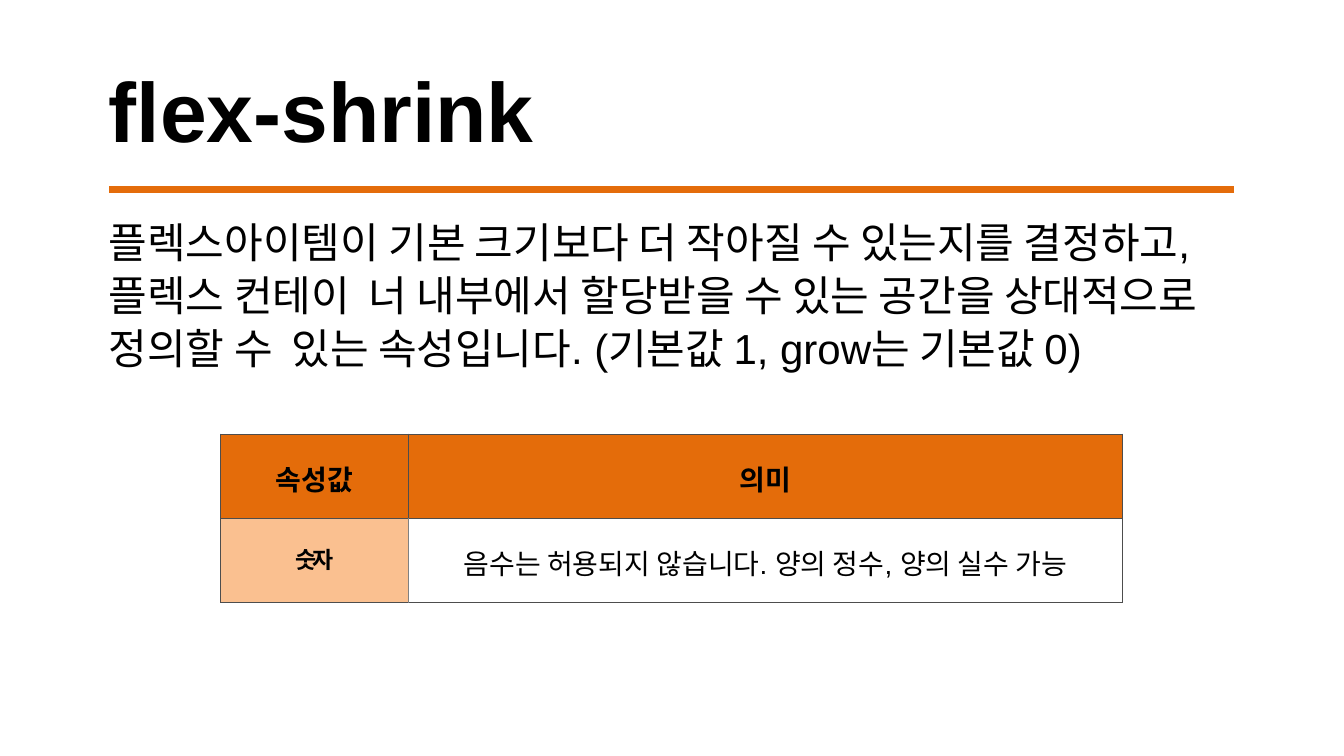
"""Build the flex-shrink slide with its title, rule, definition and value table."""
from dataclasses import dataclass

from lxml import etree
from pptx import Presentation
from pptx.dml.color import RGBColor
from pptx.enum.shapes import MSO_CONNECTOR
from pptx.enum.text import MSO_ANCHOR, PP_ALIGN
from pptx.oxml.ns import qn
from pptx.util import Inches, Pt

STRAIGHT = MSO_CONNECTOR.STRAIGHT
TOP, BOTTOM = MSO_ANCHOR.TOP, MSO_ANCHOR.BOTTOM
CENTER = PP_ALIGN.CENTER
COLORS = {"text": "000000", "accent": "E46C0A", "light": "FAC090",
          "white": "FFFFFF", "border": "4D4D4D", "divider": "808080"}


@dataclass
class TextBlock:
    text: str
    top: float
    width: float
    height: float
    size: float
    bold: bool = False
    anchor: MSO_ANCHOR = TOP
    line_spacing: float = 1.0


@dataclass
class Cell:
    text: str
    fill: str
    size: float = 33
    bold: bool = True
    font: str = "Arial"
    spacing: int = 0
    left: str = "border"
    right: str = "border"


BLOCKS = [
    TextBlock("flex-shrink", 0.93, 8.63, 1.68, 99, bold=True, anchor=BOTTOM),
    TextBlock("플렉스아이템이 기본 크기보다 더 작아질 수 있는지를 결정하고, "
              "플렉스 컨테이  너 내부에서 할당받을 수 있는 공간을 상대적으로 "
              "정의할 수  있는 속성입니다. (기본값 1, grow는 기본값 0)",
              3.49, 18.2, 3.55, 49.5, line_spacing=1.05),
]
ROWS = [
    [Cell("속성값", "accent", font="Noto Sans CJK KR"),
     Cell("의미", "accent", font="Noto Sans CJK KR")],
    [Cell("숫자", "light", size=27, spacing=-450, right="divider"),
     Cell("음수는 허용되지 않습니다. 양의 정수, 양의 실수 가능", "white",
          bold=False, left="divider")],
]
COLUMN_WIDTHS = [3.07, 11.69]
ROW_HEIGHT = 1.38


def rgb(name: str) -> RGBColor:
    return RGBColor.from_string(COLORS[name])


def style_paragraph(p, size: float, bold: bool, font: str = "Arial") -> None:
    p.font.name = font
    p.font.size = Pt(size)
    p.font.bold = bold
    p.font.color.rgb = rgb("text")


def add_block(slide, block: TextBlock) -> None:
    s = slide.shapes.add_textbox(Inches(1.78), Inches(block.top),
                                 Inches(block.width), Inches(block.height))
    tf = s.text_frame
    tf.word_wrap = True
    tf.vertical_anchor = block.anchor
    tf.margin_left = tf.margin_right = tf.margin_bottom = 0
    tf.margin_top = Inches(0.01)
    p = tf.paragraphs[0]
    p.text = block.text
    p.line_spacing = block.line_spacing
    style_paragraph(p, block.size, block.bold)


def add_rule(slide) -> None:
    s = slide.shapes.add_connector(STRAIGHT, Inches(1.79), Inches(3.1),
                                   Inches(20.19), Inches(3.1))
    s.line.color.rgb = rgb("accent")
    s.line.width = Pt(8.25)
    etree.SubElement(s._element.spPr, qn("a:effectLst"))


def set_borders(cell, sides: dict[str, str]) -> None:
    tc_pr = cell._tc.get_or_add_tcPr()
    for index, (side, color) in enumerate(sides.items()):
        ln = etree.Element(qn(f"a:{side}"), w=str(Pt(1)))
        fill = etree.SubElement(ln, qn("a:solidFill"))
        etree.SubElement(fill, qn("a:srgbClr"), val=COLORS[color])
        tc_pr.insert(index, ln)


def fill_cell(cell, item: Cell) -> None:
    cell.margin_left = cell.margin_right = cell.margin_bottom = 0
    cell.margin_top = Inches(0.39)
    cell.fill.solid()
    cell.fill.fore_color.rgb = rgb(item.fill)
    set_borders(cell, {"lnL": item.left, "lnR": item.right,
                       "lnT": "border", "lnB": "border"})
    p = cell.text_frame.paragraphs[0]
    p.alignment = CENTER
    r = p.add_run()
    r.text = item.text
    if item.spacing:
        r._r.get_or_add_rPr().set("spc", str(item.spacing))
    style_paragraph(p, item.size, item.bold, item.font)


def add_value_table(slide) -> None:
    s = slide.shapes.add_table(len(ROWS), len(COLUMN_WIDTHS), Inches(3.61), Inches(7.1),
                               Inches(sum(COLUMN_WIDTHS)), Inches(ROW_HEIGHT * len(ROWS)))
    table = s.table
    table.first_row = table.horz_banding = False
    for column, width in zip(table.columns, COLUMN_WIDTHS):
        column.width = Inches(width)
    for i, row in enumerate(ROWS):
        for j, item in enumerate(row):
            fill_cell(table.cell(i, j), item)


def main() -> None:
    prs = Presentation()
    prs.slide_width, prs.slide_height = Inches(21.99), Inches(12.37)
    slide = prs.slides.add_slide(prs.slide_layouts[6])
    for block in BLOCKS:
        add_block(slide, block)
    add_rule(slide)
    add_value_table(slide)
    prs.save("out.pptx")


if __name__ == "__main__":
    main()
